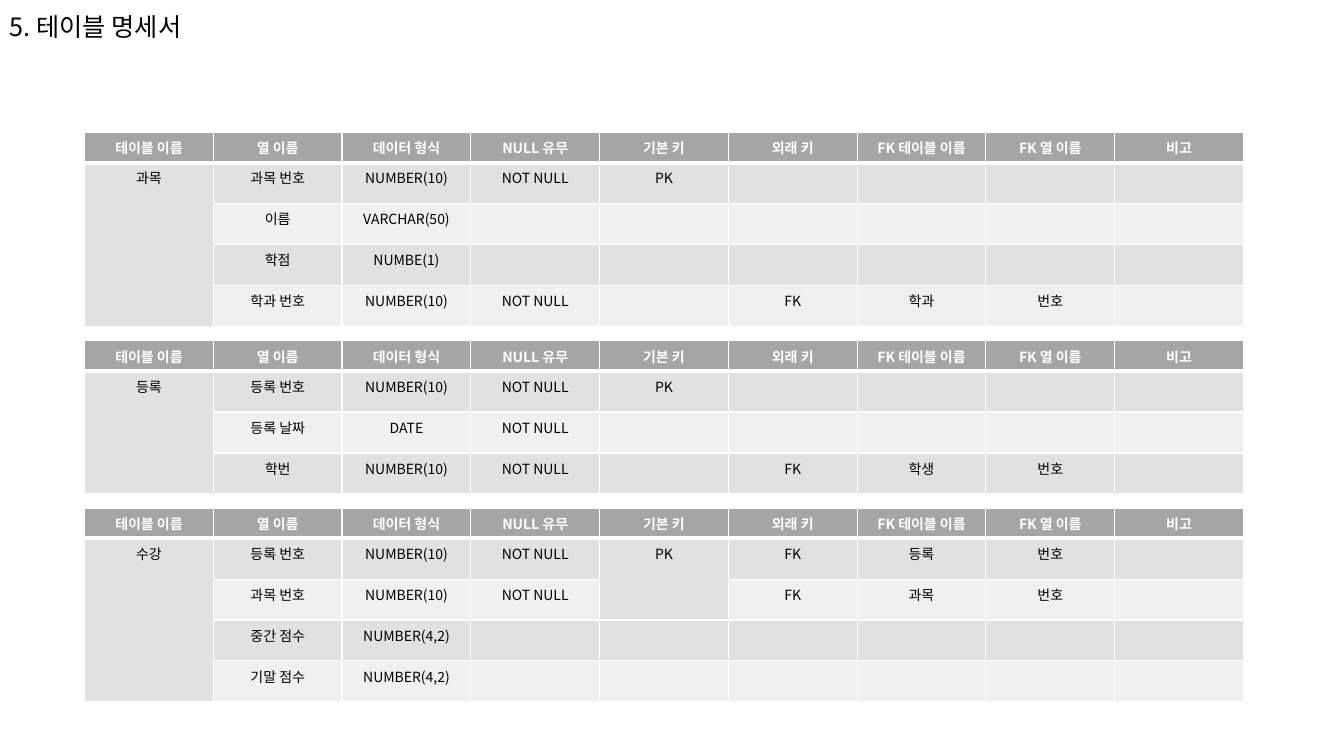
from lxml.etree import SubElement
from pptx import Presentation
from pptx.dml.color import RGBColor
from pptx.enum.text import MSO_AUTO_SIZE, PP_ALIGN
from pptx.oxml.ns import qn
from pptx.util import Cm, Pt

COLORS = {
    "header": "A5A5A5",
    "dark_row": "E1E1E1",
    "light_row": "F0F0F0",
    "border": "FFFFFF",
    "header_text": "FFFFFF",
    "text": "000000",
}
FONT = "Noto Sans CJK KR"
TABLE_LEFT, TABLE_WIDTH = Cm(2.13), Cm(29.21)
HEADER_HEIGHT, ROW_HEIGHT = Cm(0.66), Cm(1.03)
HEADERS = [
    "테이블 이름", "열 이름", "데이터 형식", "NULL 유무", "기본 키",
    "외래 키", "FK 테이블 이름", "FK 열 이름", "비고",
]
PRIMARY_KEY_COLUMN = HEADERS.index("기본 키")

SPECIFICATIONS = [
    {
        "name": "과목",
        "top": 3.34,
        "key_rows": 1,
        "rows": [
            ["과목 번호", "NUMBER(10)", "NOT NULL", "PK"],
            ["이름", "VARCHAR(50)"],
            ["학점", "NUMBE(1)"],
            ["학과 번호", "NUMBER(10)", "NOT NULL", "", "FK", "학과", "번호"],
        ],
    },
    {
        "name": "등록",
        "top": 8.59,
        "key_rows": 1,
        "rows": [
            ["등록 번호", "NUMBER(10)", "NOT NULL", "PK"],
            ["등록 날짜", "DATE", "NOT NULL"],
            ["학번", "NUMBER(10)", "NOT NULL", "", "FK", "학생", "번호"],
        ],
    },
    {
        "name": "수강",
        "top": 12.8,
        "key_rows": 2,
        "rows": [
            ["등록 번호", "NUMBER(10)", "NOT NULL", "PK", "FK", "등록", "번호"],
            ["과목 번호", "NUMBER(10)", "NOT NULL", "", "FK", "과목", "번호"],
            ["중간 점수", "NUMBER(4,2)"],
            ["기말 점수", "NUMBER(4,2)"],
        ],
    },
]


def write_text(text_frame, text, size=10, color="text", bold=False, align=PP_ALIGN.CENTER):
    paragraph = text_frame.paragraphs[0]
    paragraph.alignment = align
    if not text:
        SubElement(paragraph._p, qn("a:endParaRPr"), sz=str(size * 100))
        return
    run = paragraph.add_run()
    run.text = text
    run.font.size = Pt(size)
    run.font.bold = bold
    run.font.color.rgb = RGBColor.from_string(COLORS[color])
    run.font.name = FONT
    SubElement(run._r.get_or_add_rPr(), qn("a:ea"), typeface=FONT)


def set_borders(cell, top=1, bottom=1):
    properties = cell._tc.get_or_add_tcPr()
    for side, width in (("L", 1), ("R", 1), ("T", top), ("B", bottom)):
        line = SubElement(properties, qn(f"a:ln{side}"), w=str(Pt(width)))
        fill = SubElement(line, qn("a:solidFill"))
        SubElement(fill, qn("a:srgbClr"), val=COLORS["border"])


def style_cell(cell, fill, top=1, bottom=1):
    set_borders(cell, top, bottom)
    cell.fill.solid()
    cell.fill.fore_color.rgb = RGBColor.from_string(COLORS[fill])


def add_specification(slide, name, top, key_rows, rows):
    row_count = len(rows) + 1
    height = HEADER_HEIGHT + ROW_HEIGHT * len(rows)
    table = slide.shapes.add_table(
        row_count, len(HEADERS), TABLE_LEFT, Cm(top), TABLE_WIDTH, height
    ).table
    table.horz_banding = False
    table.rows[0].height = HEADER_HEIGHT
    for column, header in enumerate(HEADERS):
        cell = table.cell(0, column)
        style_cell(cell, "header", bottom=3)
        write_text(cell.text_frame, header, color="header_text", bold=True)

    for row, values in enumerate(rows, start=1):
        table.rows[row].height = ROW_HEIGHT
        texts = [name if row == 1 else "", *values]
        texts += [""] * (len(HEADERS) - len(texts))
        for column, text in enumerate(texts):
            cell = table.cell(row, column)
            style_cell(cell, "dark_row" if row % 2 else "light_row", top=3 if row == 1 else 1)
            write_text(cell.text_frame, text)

    table.cell(1, 0).merge(table.cell(len(rows), 0))
    if key_rows > 1:
        table.cell(1, PRIMARY_KEY_COLUMN).merge(table.cell(key_rows, PRIMARY_KEY_COLUMN))


def add_title(slide, text):
    text_frame = slide.shapes.add_textbox(Cm(0), Cm(0.15), Cm(5.33), Cm(1.02)).text_frame
    text_frame.word_wrap = False
    text_frame.auto_size = MSO_AUTO_SIZE.SHAPE_TO_FIT_TEXT
    write_text(text_frame, text, size=18, align=PP_ALIGN.LEFT)


def main():
    presentation = Presentation()
    presentation.slide_width = Cm(33.87)
    presentation.slide_height = Cm(19.05)
    slide = presentation.slides.add_slide(presentation.slide_layouts[6])
    for specification in SPECIFICATIONS:
        add_specification(slide, **specification)
    add_title(slide, "5. 테이블 명세서")
    presentation.save("out.pptx")


if __name__ == "__main__":
    main()
